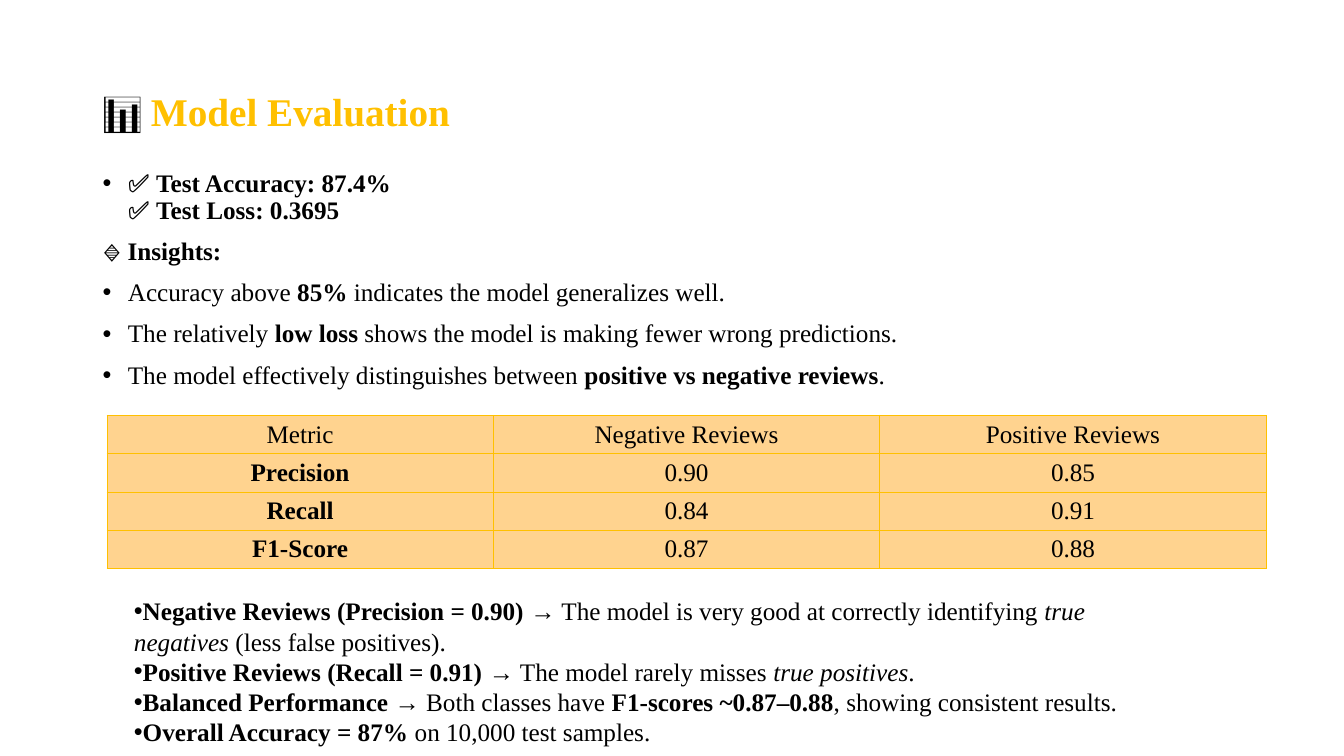
from lxml.etree import SubElement
from pptx import Presentation
from pptx.dml.color import RGBColor
from pptx.enum.text import MSO_ANCHOR, PP_ALIGN
from pptx.oxml.ns import qn
from pptx.util import Pt

BLACK = RGBColor(0, 0, 0)
GOLD = RGBColor(0xFF, 0xC0, 0x00)
SAND = RGBColor(0xFF, 0xD3, 0x8F)
SCALE = 9144

STATS = "✅ *Test Accuracy: 87.4%*\n✅ *Test Loss: 0.3695*"
INSIGHTS = "*🔹 Insights:*"
POINTS = [
    "Accuracy above *85%* indicates the model generalizes well.",
    "The relatively *low loss* shows the model is making fewer wrong predictions.",
    "The model effectively distinguishes between *positive vs negative reviews*.",
]
SCORES = [
    ["Metric", "Negative Reviews", "Positive Reviews"],
    ["*Precision*", "0.90", "0.85"],
    ["*Recall*", "0.84", "0.91"],
    ["*F1-Score*", "0.87", "0.88"],
]
NOTES = [
    "*Negative Reviews (Precision = 0.90)* → The model is very good at correctly "
    "identifying _true negatives_ (less false positives).",
    "*Positive Reviews (Recall = 0.91)* → The model rarely misses _true positives_.",
    "*Balanced Performance* → Both classes have *F1-scores ~0.87–0.88*, "
    "showing consistent results.",
    "*Overall Accuracy = 87%* on 10,000 test samples.",
]


class Deck:
    """Hold the style and the current slide, and draw each kind of element."""

    def __init__(self, width, height):
        self.show = Presentation()
        self.show.slide_width = width * SCALE
        self.show.slide_height = height * SCALE
        self.slide = self.show.slides.add_slide(self.show.slide_layouts[6])
        self.face = "Times New Roman"
        self.size = Pt(18)

    def box(self, *place):
        frame = self.slide.shapes.add_textbox(*(n * SCALE for n in place)).text_frame
        frame.word_wrap = True
        return frame

    def markup(self, para, text):
        """Add text to a paragraph, with *bold* and _italic_ parts."""
        para.font.name, para.font.size = self.face, self.size
        para.font.color.rgb = BLACK
        for row, line in enumerate(text.split("\n")):
            if row:
                para.add_line_break()
            for i, part in enumerate(line.split("*")):
                for j, piece in enumerate(part.split("_")):
                    if piece:
                        run = para.add_run()
                        run.text = piece
                        run.font.bold = i % 2 == 1
                        run.font.italic = j % 2 == 1

    def bullet(self, para, indent):
        props = para._p.get_or_add_pPr()
        props.set("marL", str(indent * SCALE))
        props.set("indent", str(-indent * SCALE))
        SubElement(props, qn("a:buFont")).set("typeface", "Arial")
        SubElement(props, qn("a:buChar")).set("char", "•")

    def title(self, icon, text, *place):
        frame = self.box(*place)
        frame.vertical_anchor = MSO_ANCHOR.MIDDLE
        para = frame.paragraphs[0]
        para.line_spacing = 0.9
        para.font.size = Pt(28)
        for part, face, color in ((icon, "Calibri", BLACK), (text, self.face, GOLD)):
            run = para.add_run()
            run.text = part
            run.font.name, run.font.color.rgb = face, color
            run.font.bold = color == GOLD

    def text(self, lines, *place, indent=0, space=0, leading=1.0, plain=()):
        frame = self.box(*place)
        for i, line in enumerate(lines):
            para = frame.add_paragraph() if i else frame.paragraphs[0]
            para.line_spacing, para.space_before = leading, Pt(space)
            if line not in plain:
                self.bullet(para, indent)
            self.markup(para, line)

    def border(self, cell):
        props = cell._tc.get_or_add_tcPr()
        for i, side in enumerate(("a:lnL", "a:lnR", "a:lnT", "a:lnB")):
            line = props.makeelement(qn(side), {"w": str(Pt(0.5))})
            fill = SubElement(line, qn("a:solidFill"))
            SubElement(fill, qn("a:srgbClr")).set("val", str(GOLD))
            props.insert(i, line)

    def table(self, rows, left, top, width, height):
        place = (n * SCALE for n in (left, top, width, height))
        grid = self.slide.shapes.add_table(len(rows), len(rows[0]), *place).table
        for i, row in enumerate(rows):
            for j, text in enumerate(row):
                cell = grid.cell(i, j)
                cell.fill.solid()
                cell.fill.fore_color.rgb = SAND
                cell.margin_top = cell.margin_bottom = 4 * SCALE
                cell.vertical_anchor = MSO_ANCHOR.MIDDLE
                para = cell.text_frame.paragraphs[0]
                para.alignment = PP_ALIGN.CENTER
                self.markup(para, text)
                self.border(cell)


def main():
    deck = Deck(1333, 750)
    deck.title("📊 ", "Model Evaluation", 92, 40, 1150, 145)
    deck.text([STATS, INSIGHTS, *POINTS], 92, 164, 1150, 476,
              indent=25, space=10, leading=0.9, plain=(INSIGHTS,))
    deck.table(SCORES, 106, 412, 1150, 151)
    deck.text(NOTES, 123, 586, 1028, 162)
    deck.show.save("out.pptx")


if __name__ == "__main__":
    main()
